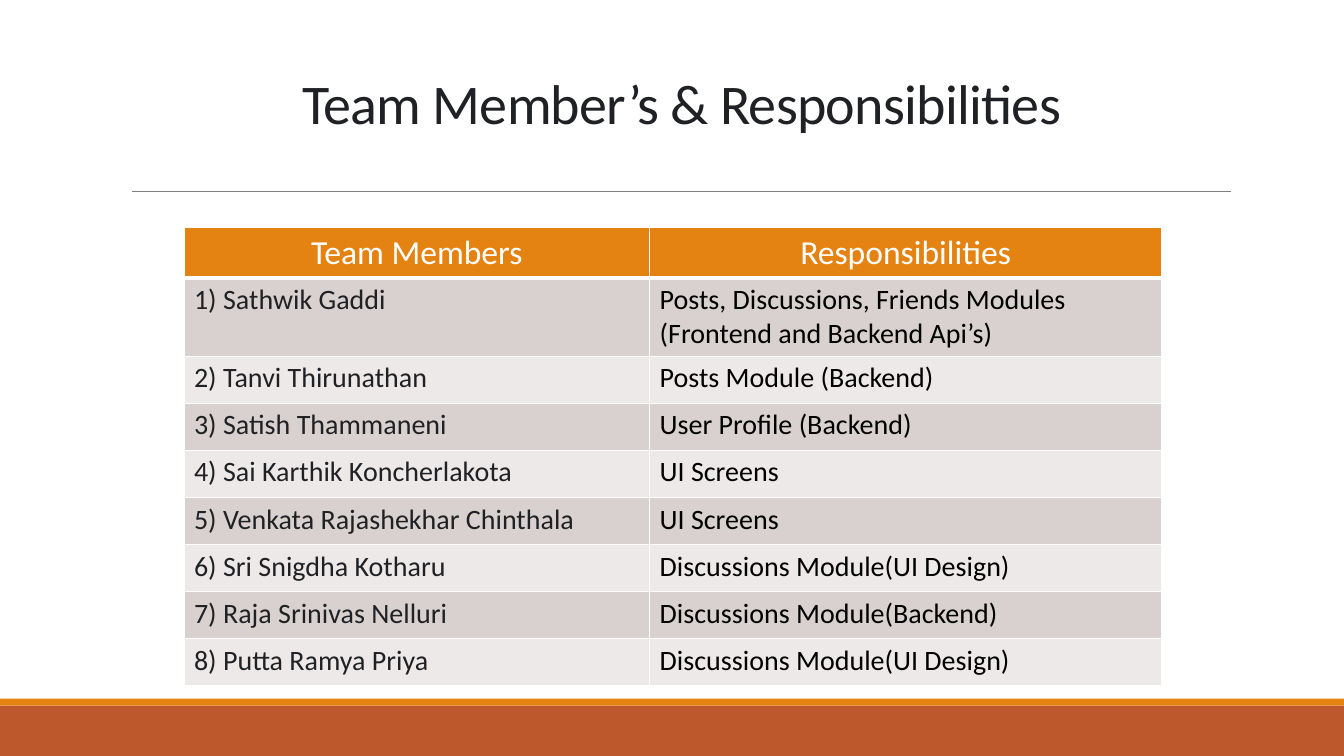
"""Build the slide that lists team members and their responsibilities."""
from lxml import etree
from pptx import Presentation
from pptx.dml.color import RGBColor
from pptx.enum.shapes import MSO_CONNECTOR, MSO_SHAPE
from pptx.enum.text import MSO_ANCHOR, PP_ALIGN
from pptx.oxml.ns import qn
from pptx.util import Pt

RECT = MSO_SHAPE.RECTANGLE
LINE = MSO_CONNECTOR.STRAIGHT
BOTTOM = MSO_ANCHOR.BOTTOM
LEFT = PP_ALIGN.LEFT
CENTER = PP_ALIGN.CENTER
ORANGE = "E48312"
WHITE = "FFFFFF"
INK = "202124"
BLACK = "000000"
BANDS = ["D9D1CF", "EDE9E8"]


def paint(fmt, color):
    fmt.solid()
    fmt.fore_color.rgb = RGBColor.from_string(color)


def write(para, text, size, color, align):
    para.alignment = align
    run = para.add_run()
    run.text = text
    run.font.name = "Calibri"
    run.font.size = Pt(size)
    run.font.bold = False
    paint(run.font.fill, color)
    return run


prs = Presentation()
prs.slide_width = Pt(960)
prs.slide_height = Pt(540)
slide = prs.slides.add_slide(prs.slide_layouts[6])
shapes = slide.shapes

for top, height, color in [(504, 36, "BD582C"), (499, 5, ORANGE)]:
    bar = shapes.add_shape(RECT, 0, Pt(top), Pt(960), Pt(height))
    bar.shadow.inherit = False
    bar.line.fill.background()
    paint(bar.fill, color)

rule = shapes.add_connector(LINE, Pt(94.3), Pt(136.6), Pt(879), Pt(136.6))
rule.line.width = Pt(0.5)
paint(rule.line.fill, "808080")
etree.SubElement(rule._element.spPr, qn("a:effectLst"))

title = shapes.add_textbox(Pt(86.4), Pt(22.3), Pt(792), Pt(114.5))
frame = title.text_frame
frame.word_wrap = True
frame.vertical_anchor = BOTTOM
frame.margin_left = Pt(16)
frame.margin_bottom = Pt(40)
para = frame.paragraphs[0]
para.line_spacing = 0.85
run = write(para, "Team Member’s & Responsibilities", 40, INK, CENTER)
run.font._element.set("spc", "-50")

rows = [
    ("Team Members", "Responsibilities"),
    ("1) Sathwik Gaddi", "Posts, Discussions, Friends Modules (Frontend and Backend Api’s)"),
    ("2) Tanvi Thirunathan", "Posts Module (Backend)"),
    ("3) Satish Thammaneni", "User Profile (Backend)"),
    ("4) Sai Karthik Koncherlakota", "UI Screens"),
    ("5) Venkata Rajashekhar Chinthala", "UI Screens"),
    ("6) Sri Snigdha Kotharu", "Discussions Module(UI Design)"),
    ("7) Raja Srinivas Nelluri", "Discussions Module(Backend)"),
    ("8) Putta Ramya Priya", "Discussions Module(UI Design)"),
]
heights = [36, 56] + [33.6] * 7
table = shapes.add_table(len(rows), 2, Pt(131.4), Pt(162.4), Pt(698.4), Pt(sum(heights))).table
table.first_row = False
table.horz_banding = False
table.columns[0].width = Pt(332.6)
table.columns[1].width = Pt(365.8)

for i, row in enumerate(rows):
    table.rows[i].height = Pt(heights[i])
    for j, text in enumerate(row):
        cell = table.cell(i, j)
        props = cell._tc.get_or_add_tcPr()
        for side in "LRTB":
            width = 3 if i == 0 and side == "B" else 1
            edge = etree.SubElement(props, qn("a:ln" + side), w=str(Pt(width)))
            fill = etree.SubElement(edge, qn("a:solidFill"))
            etree.SubElement(fill, qn("a:srgbClr"), val=WHITE)
        para = cell.text_frame.paragraphs[0]
        if i == 0:
            paint(cell.fill, ORANGE)
            write(para, text, 24, WHITE, CENTER)
        else:
            paint(cell.fill, BANDS[(i - 1) % 2])
            write(para, text, 20, [INK, BLACK][j], LEFT)

prs.save("out.pptx")
